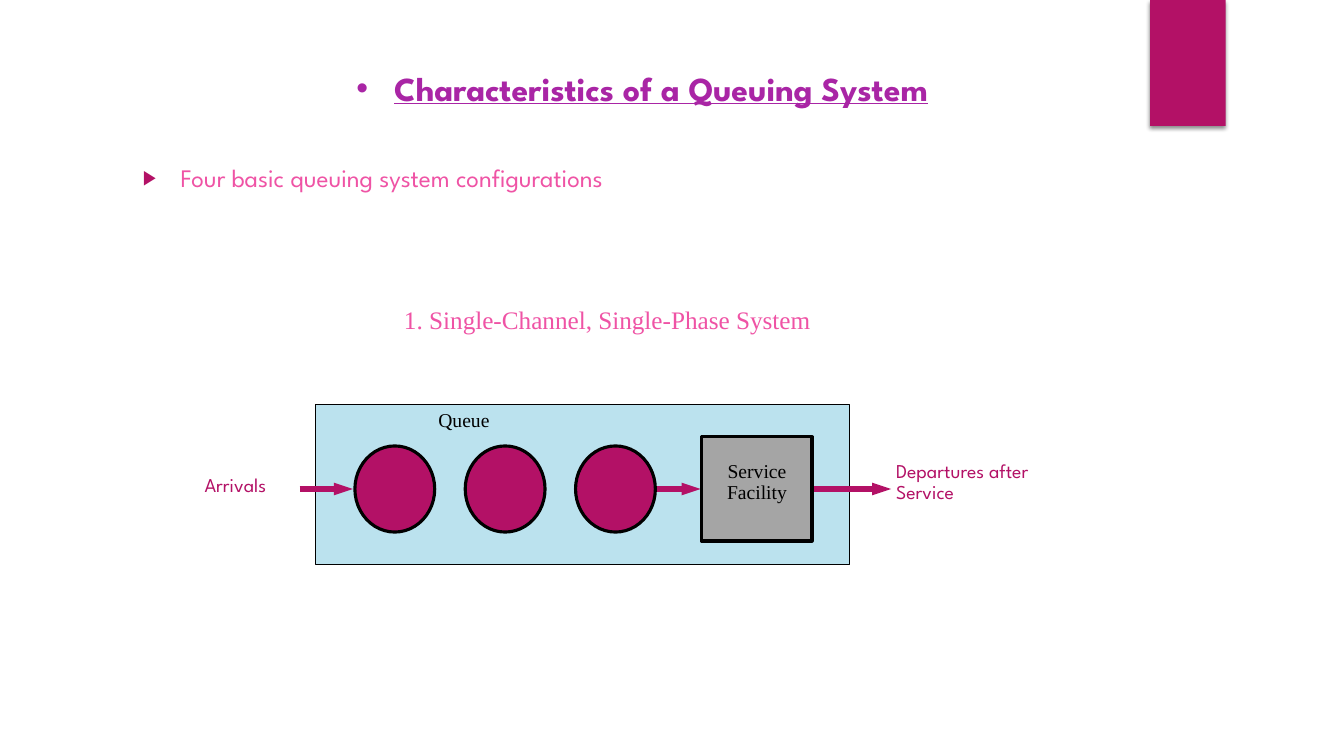
from dataclasses import dataclass

import lxml.etree
import pptx
import pptx.dml.color
import pptx.enum.shapes
import pptx.enum.text
import pptx.oxml
import pptx.oxml.ns
import pptx.util

Pt = pptx.util.Pt
RGB = pptx.dml.color.RGBColor.from_string
Shape = pptx.enum.shapes.MSO_SHAPE
Align = pptx.enum.text.PP_ALIGN
qn = pptx.oxml.ns.qn


@dataclass(frozen=True)
class Theme:
    magenta: str = "B31166"
    purple: str = "A925A5"
    pink: str = "EF53A5"
    sky: str = "BBE2EE"
    gray: str = "A5A5A5"
    black: str = "000000"
    sans: str = "League Spartan"
    serif: str = "Times New Roman"
    title_size: int = 24
    body_size: int = 18
    label_size: int = 14


theme = Theme()
deck = pptx.Presentation()
deck.slide_width, deck.slide_height = Pt(960), Pt(540)
slide = deck.slides.add_slide(deck.slide_layouts[6])


def add_block(kind, box, fill, line_width=None):
    """Add a filled shape, outlined in black when a line width is given."""
    block = slide.shapes.add_shape(kind, *map(Pt, box))
    block.shadow.inherit = False
    block.fill.solid()
    block.fill.fore_color.rgb = RGB(fill)
    if line_width is None:
        block.line.fill.background()
    else:
        block.line.color.rgb = RGB(theme.black)
        block.line.width = Pt(line_width)
    return block


def add_text(text, box, font, size, color, wrap=False, grow=True):
    """Add a one-run text box and return its paragraph and run."""
    textbox = slide.shapes.add_textbox(*map(Pt, box))
    frame = textbox.text_frame
    frame.word_wrap = wrap
    sizing = pptx.enum.text.MSO_AUTO_SIZE
    frame.auto_size = sizing.SHAPE_TO_FIT_TEXT if grow else sizing.NONE
    paragraph = frame.paragraphs[0]
    run = paragraph.add_run()
    run.text = text
    run.font.name = font
    run.font.size = Pt(size)
    run.font.color.rgb = RGB(color)
    return paragraph, run


# Corner ribbon with a soft shadow below it
ribbon = add_block(Shape.RECTANGLE, (821.5, 0, 54, 90), theme.magenta)
effects = ribbon._element.spPr.find(qn("a:effectLst"))
shadow = lxml.etree.SubElement(
    effects, qn("a:outerShdw"), blurRad=str(Pt(3)), dist=str(Pt(2)), dir="5400000", rotWithShape="0"
)
shadow_color = lxml.etree.SubElement(shadow, qn("a:srgbClr"), val=theme.black)
lxml.etree.SubElement(shadow_color, qn("a:alpha"), val="45000")

# Heading and opening point
heading, heading_run = add_text(
    "Characteristics of a Queuing System", (247.5, 45, 466.5, 36),
    theme.sans, theme.title_size, theme.purple,
)
heading_run.font.bold = True
heading_run.font.underline = True
point, _ = add_text(
    "Four basic queuing system configurations", (95, 112.5, 642, 408),
    theme.sans, theme.body_size, theme.pink, wrap=True, grow=False,
)
for paragraph, mark, color, scale in (
    (heading, "•", theme.purple, 100),
    (point, "▶", theme.magenta, 80),
):
    properties = paragraph._p.get_or_add_pPr()
    properties.set("marL", str(Pt(27)))
    properties.set("indent", str(-Pt(27)))
    bullet_color = lxml.etree.SubElement(properties, qn("a:buClr"))
    lxml.etree.SubElement(bullet_color, qn("a:srgbClr"), val=color)
    lxml.etree.SubElement(properties, qn("a:buSzPct"), val=str(scale * 1000))
    lxml.etree.SubElement(properties, qn("a:buFont"), typeface="Arial")
    lxml.etree.SubElement(properties, qn("a:buChar"), char=mark)

# Queue diagram
add_text(
    "1. Single-Channel, Single-Phase System", (281.5, 214, 308, 29),
    theme.serif, theme.body_size, theme.pink,
)
add_block(Shape.RECTANGLE, (225.5, 289, 381.5, 114.5), theme.sky, 0.75)

flow_y = 349.3
for start, end in ((214, 252), (461.5, 500.5), (571.5, 636.5)):
    arrow = slide.shapes.add_connector(
        pptx.enum.shapes.MSO_CONNECTOR.STRAIGHT, Pt(start), Pt(flow_y), Pt(end), Pt(flow_y)
    )
    arrow.line.color.rgb = RGB(theme.magenta)
    arrow.line.width = Pt(4.5)
    lxml.etree.SubElement(
        arrow.line._get_or_add_ln(), qn("a:tailEnd"), type="triangle", w="sm", len="med"
    )
    lxml.etree.SubElement(arrow._element.spPr, qn("a:effectLst"))

customer_width, customer_height, customer_step = 57, 61.5, 78.8
for place in range(3):
    add_block(
        Shape.OVAL,
        (253.5 + place * customer_step, flow_y - customer_height / 2, customer_width, customer_height),
        theme.magenta, 2.25,
    )
add_block(Shape.RECTANGLE, (501, 312, 79, 74.5), theme.gray, 2.25)

# Diagram labels
add_text("Arrivals", (139, 334, 75.5, 29.5), theme.sans, theme.label_size, theme.magenta)
add_text("Queue", (306, 287.5, 65.5, 29.5), theme.serif, theme.label_size, theme.black)
departures, _ = add_text(
    "Departures after Service", (633, 326, 116, 45.5),
    theme.sans, theme.label_size, theme.magenta, wrap=True,
)
facility, _ = add_text(
    "Service Facility", (497.5, 326, 86.5, 45.5),
    theme.serif, theme.label_size, theme.black, wrap=True,
)
facility.alignment = Align.CENTER
for label in (departures, facility):
    label.line_spacing = 0.9

deck.save("out.pptx")
